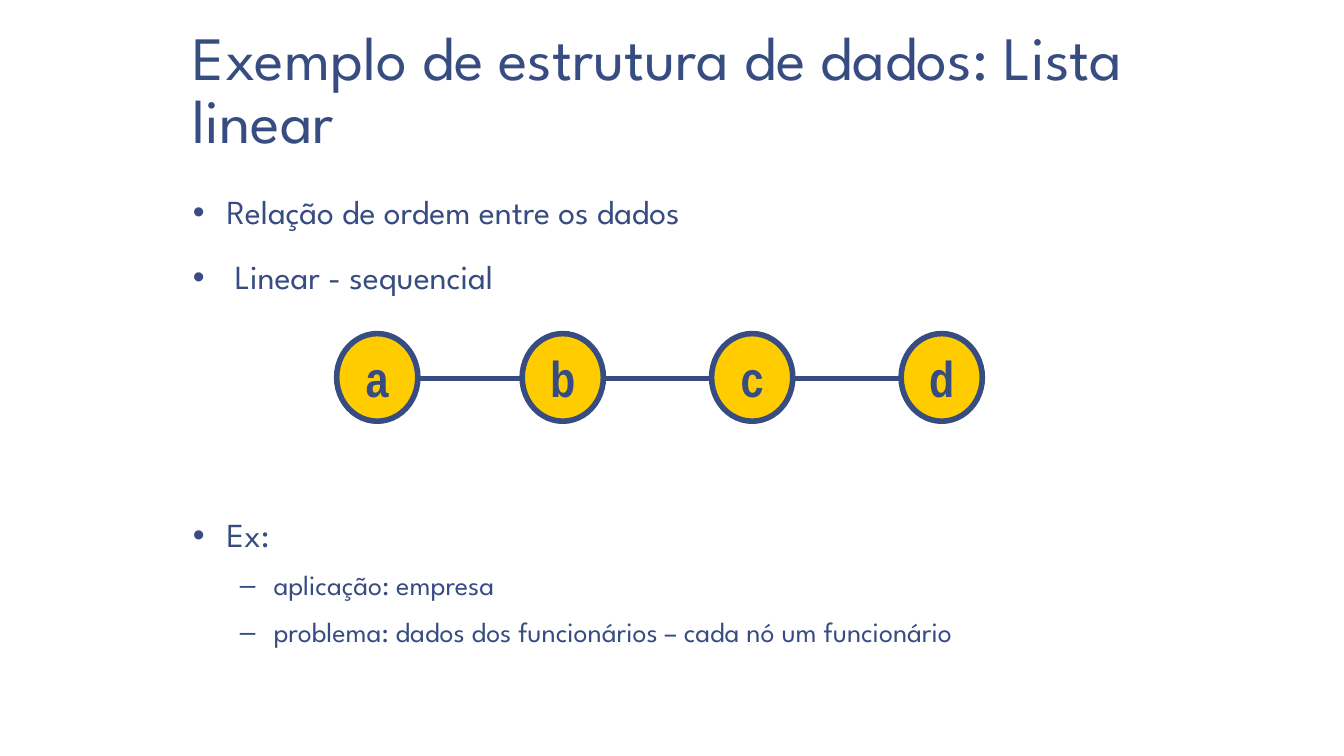
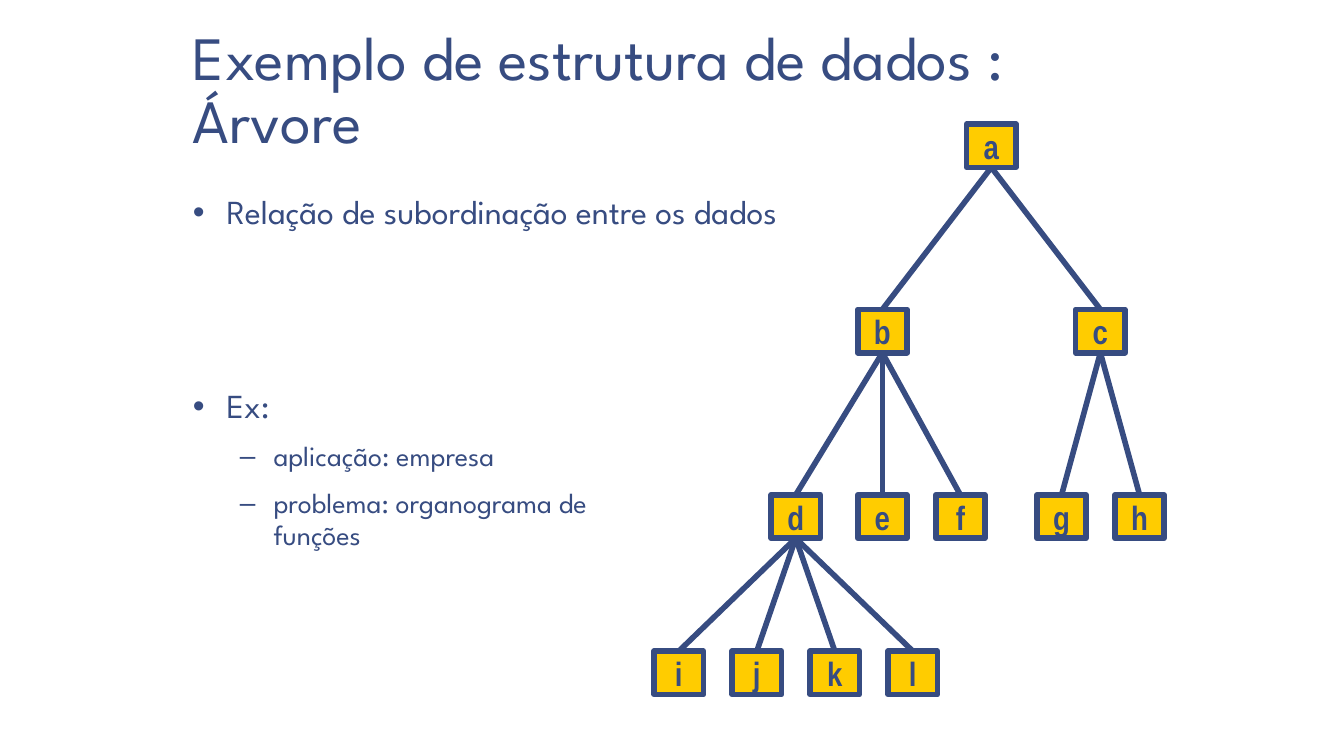
from lxml import etree
from pptx import Presentation
from pptx.dml.color import RGBColor
from pptx.enum import shapes, text
from pptx.oxml.ns import qn
from pptx.util import Pt

# Shared look
NAVY = RGBColor(0x37, 0x4C, 0x81)
YELLOW = RGBColor(0xFF, 0xCC, 0x00)
TEXT_FONT = "League Spartan"
NODE_FONT = "Arial Narrow"
LINE_WIDTH = 4
LEFT, WIDTH = 128.2, 708.5
# Bullet levels: character, left margin, space before, font size
LEVELS = [("•", 24, 18.7, 24), ("–", 57.6, 10.7, 20)]
HANGING = 24

# List diagram
CIRCLE_LEFTS = {"a": 240.5, "b": 373, "c": 508.3, "d": 643.7}
CIRCLE_TOP, CIRCLE_WIDTH, CIRCLE_HEIGHT = 238.3, 58, 62.6

# Tree diagram: the children of each node, and the top and lefts of each row
CHILDREN = {"a": "bc", "b": "def", "c": "gh", "d": "ijkl"}
BOX_WIDTH, BOX_HEIGHT, BOX_STEP = 35.2, 31, 55.7
TREE_ROWS = [
    (88.6, {"a": 690.5}),
    (221, {"b": 612.7, "c": 768.4}),
    (353.5, {"d": 550.8, "e": 612.7, "f": 612.7 + BOX_STEP,
             "g": 740.7, "h": 740.7 + BOX_STEP}),
    (465.1, {name: 467.3 + BOX_STEP * i for i, name in enumerate("ijkl")}),
]


def set_font(paragraph, name, size, bold=False):
    font = paragraph.font
    font.name, font.size, font.bold = name, Pt(size), bold
    font.color.rgb = NAVY


def add_text_frame(slide, top, height, anchor):
    box = slide.shapes.add_textbox(Pt(LEFT), Pt(top), Pt(WIDTH), Pt(height))
    frame = box.text_frame
    frame.word_wrap = True
    frame.vertical_anchor = anchor
    frame.margin_left = frame.margin_right = Pt(9.6)
    frame.margin_top = frame.margin_bottom = Pt(4.8)
    return frame


def add_title(slide, title):
    frame = add_text_frame(slide, 6, 110, text.MSO_ANCHOR.BOTTOM)
    paragraph = frame.paragraphs[0]
    paragraph.text = title
    paragraph.line_spacing = 0.85
    set_font(paragraph, TEXT_FONT, 44)


def add_bullets(slide, items):
    """Each item is (level, words, extra space before)."""
    frame = add_text_frame(slide, 134, 352, text.MSO_ANCHOR.TOP)
    for index, (level, words, extra) in enumerate(items):
        paragraph = frame.add_paragraph() if index else frame.paragraphs[0]
        mark, margin, space, size = LEVELS[level]
        paragraph.text = words
        paragraph.level = level
        paragraph.line_spacing = 0.95
        paragraph.space_before = Pt(space + extra)
        properties = paragraph._p.get_or_add_pPr()
        properties.set("marL", str(Pt(margin)))
        properties.set("indent", str(-Pt(HANGING)))
        etree.SubElement(properties, qn("a:buFont")).set("typeface", "Arial")
        etree.SubElement(properties, qn("a:buChar")).set("char", mark)
        set_font(paragraph, TEXT_FONT, size)


def add_node(slide, kind, name, left, top, width, height, size):
    shape = slide.shapes.add_shape(kind, Pt(left), Pt(top), Pt(width), Pt(height))
    shape.shadow.inherit = False
    shape.fill.solid()
    shape.fill.fore_color.rgb = YELLOW
    shape.line.color.rgb = NAVY
    shape.line.width = Pt(LINE_WIDTH)
    frame = shape.text_frame
    frame.word_wrap = False
    frame.vertical_anchor = text.MSO_ANCHOR.MIDDLE
    paragraph = frame.paragraphs[0]
    paragraph.text = name
    paragraph.alignment = text.PP_ALIGN.CENTER
    set_font(paragraph, NODE_FONT, size, bold=True)
    return shape


def add_line(slide, x1=0, y1=0, x2=0, y2=0):
    line = slide.shapes.add_connector(
        shapes.MSO_CONNECTOR.STRAIGHT, Pt(x1), Pt(y1), Pt(x2), Pt(y2))
    line.line.color.rgb = NAVY
    line.line.width = Pt(LINE_WIDTH)
    etree.SubElement(line._element.spPr, qn("a:effectLst"))
    return line


def add_linked_list(slide):
    for name, left in CIRCLE_LEFTS.items():
        add_node(slide, shapes.MSO_SHAPE.OVAL, name, left, CIRCLE_TOP,
                 CIRCLE_WIDTH, CIRCLE_HEIGHT, 36)
    lefts = list(CIRCLE_LEFTS.values())
    middle = CIRCLE_TOP + CIRCLE_HEIGHT / 2 + 0.7
    for start, end in zip(lefts, lefts[1:]):
        add_line(slide, start + CIRCLE_WIDTH, middle, end, middle)


def add_tree(slide):
    nodes = {}
    for top, row in TREE_ROWS:
        for name, left in row.items():
            nodes[name] = add_node(slide, shapes.MSO_SHAPE.RECTANGLE, name,
                                   left, top, BOX_WIDTH, BOX_HEIGHT, 24)
    for parent, children in CHILDREN.items():
        for child in children:
            line = add_line(slide)
            line.begin_connect(nodes[parent], 2)
            line.end_connect(nodes[child], 0)


def add_slide(presentation, title, bullets):
    slide = presentation.slides.add_slide(presentation.slide_layouts[6])
    add_title(slide, title)
    add_bullets(slide, bullets)
    return slide


def main():
    presentation = Presentation()
    presentation.slide_width, presentation.slide_height = Pt(960), Pt(540)

    # Linear list
    slide = add_slide(presentation, "Exemplo de estrutura de dados: Lista linear", [
        (0, "Relação de ordem entre os dados", 0),
        (0, " Linear - sequencial", 0),
        (0, "Ex:", 138),
        (1, "aplicação: empresa", 0),
        (1, "problema: dados dos funcionários – cada nó um funcionário", 0),
    ])
    add_linked_list(slide)

    # Tree
    slide = add_slide(presentation, "Exemplo de estrutura de dados : Árvore", [
        (0, "Relação de subordinação entre os dados", 0),
        (0, "Ex:", 92),
        (1, "aplicação: empresa", 0),
        (1, "problema: organograma de\vfunções", 0),
    ])
    add_tree(slide)

    presentation.save("out.pptx")


if __name__ == "__main__":
    main()
